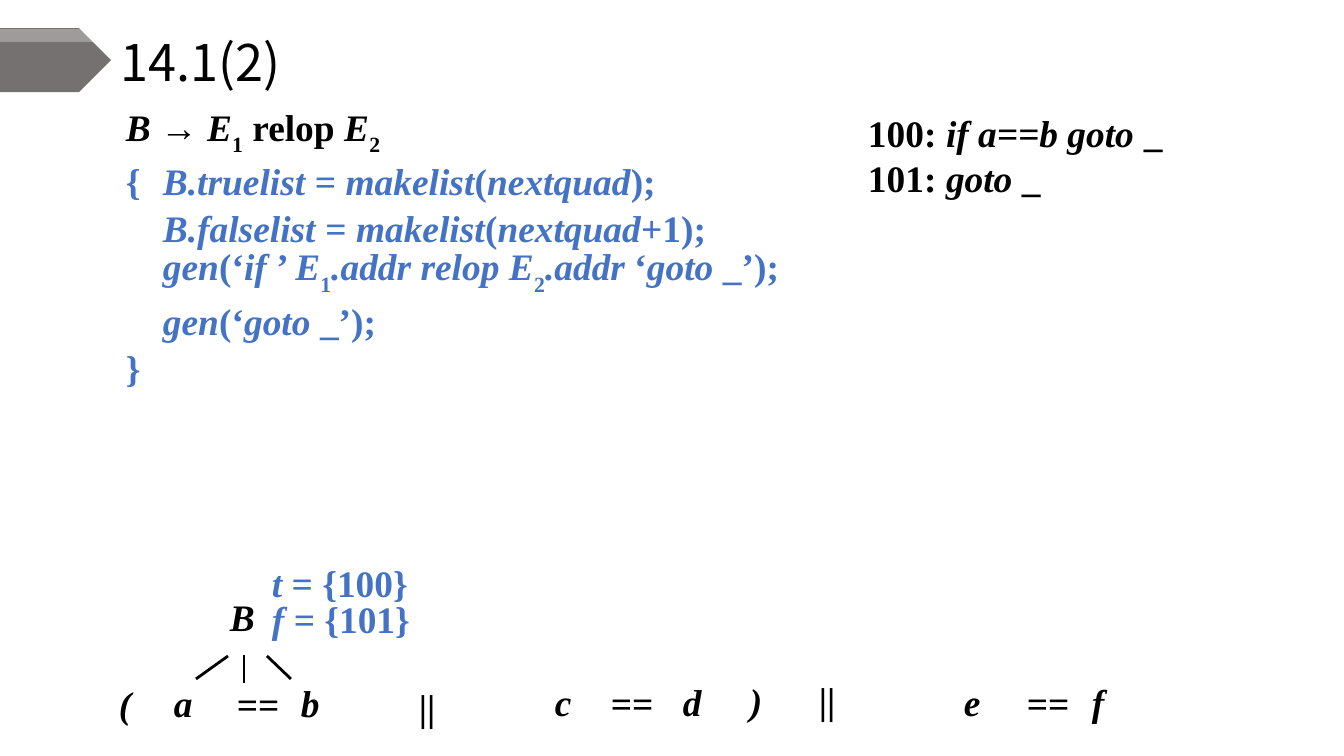
"""Builds the slide on backpatching a relational expression."""
from lxml import etree
from pptx import Presentation
from pptx.dml.color import RGBColor
from pptx.enum.shapes import MSO_CONNECTOR, MSO_SHAPE
from pptx.enum.text import MSO_ANCHOR, PP_ALIGN
from pptx.oxml.ns import qn
from pptx.util import Pt

PX = 914400 / 100.8
COLORS = {"black": "000000", "blue": "4472C4", "gray": "767171", "white": "FFFFFF"}
SERIF, SANS = "Times New Roman", "Noto Sans CJK SC"


def px(*lengths):
    return [round(length * PX) for length in lengths]


def add_text(box, lines, color="black", size=26.7, font=SERIF, bold=True,
             inset=1, spacing=None, align=PP_ALIGN.JUSTIFY):
    """Each line lists (text, style) runs: i is italic, s is subscript."""
    frame = slide.shapes.add_textbox(*px(*box)).text_frame
    frame.word_wrap = True
    frame.margin_left, frame.margin_top, frame.margin_right, frame.margin_bottom = px(
        10, inset, 10, inset)
    for number, line in enumerate(lines):
        paragraph = frame.paragraphs[0] if number == 0 else frame.add_paragraph()
        paragraph.alignment = align
        paragraph.line_spacing = spacing
        for text, style in line:
            run = paragraph.add_run()
            run.text = text
            run.font.size, run.font.name = Pt(size), font
            run.font.bold, run.font.italic = bold, "i" in style
            run.font.color.rgb = RGBColor.from_string(COLORS[color])
            props = run._r.get_or_add_rPr()
            etree.SubElement(props, qn("a:ea")).set("typeface", font)
            if "s" in style:
                props.set("baseline", "-30000")
    return frame


deck = Presentation()
deck.slide_width, deck.slide_height = px(1344, 756)
slide = deck.slides.add_slide(deck.slide_layouts[6])

add_text((262, 568, 294, 68),
         [[("t", "i"), (" = {100}", "")], [("f", "i"), (" = {101}", "")]],
         color="blue", spacing=0.8)
add_text((220, 593, 55, 39), [[("B", "i")]])

for x1, y1, x2, y2 in [(228, 656, 196, 679), (244, 655, 244, 683), (267, 656, 291, 679)]:
    branch = slide.shapes.add_connector(MSO_CONNECTOR.STRAIGHT, *px(x1, y1, x2, y2))
    branch.line.color.rgb = RGBColor.from_string(COLORS["black"])
    branch.line.width = Pt(2)
    etree.SubElement(branch._element.spPr, qn("a:effectLst"))

leaves = [("(", 109, 680), ("a", 164, 679), ("==", 227, 680), ("b", 291, 679),
          ("||", 409, 683), ("c", 545, 678), ("==", 601, 679), ("d", 673, 678),
          (")", 740, 677), ("||", 809, 676), ("e", 954, 678), ("==", 1017, 679),
          ("f", 1082, 678)]
for symbol, left, top in leaves:
    operator = len(symbol) == 2
    add_text((left, top, 70 if operator else 62, 32), [[(symbol, "" if operator else "i")]])

add_text((858, 105, 381, 101),
         [[("100: ", ""), ("if a==b goto ", "i"), ("_", "")],
          [("101: ", ""), ("goto", "i"), (" _", "")]],
         inset=5, align=PP_ALIGN.LEFT)

production = [("B ", "i"), ("→ ", ""), ("E", "i"), ("1", "s"), (" relop", ""),
              (" E", "i"), ("2", "s")]
actions = [
    [("{\t", ""), ("B.truelist", "i"), (" = ", ""), ("makelist", "i"), ("(", ""),
     ("nextquad", "i"), (");", "")],
    [("\t", ""), ("B.falselist", "i"), (" = ", ""), ("makelist", "i"), ("(", ""),
     ("nextquad", "i"), ("+1);", "")],
    [("\t", ""), ("gen", "i"), ("(‘", ""), ("if ", "i"), ("’ ", ""), ("E", "i"), ("1", "s"),
     (".addr relop E", "i"), ("2", "s"), (".addr", "i"), (" ‘", ""), ("goto", "i"),
     (" _’);", "")],
    [("\t", ""), ("gen", "i"), ("(‘", ""), ("goto", "i"), (" _’);", "")],
    [("}", "")],
]
rule = add_text((116, 105, 778, 294), [production, *actions], color="blue", inset=5,
                spacing=Pt(33.3))
hang = px(37)[0]
for paragraph in rule.paragraphs:
    layout = paragraph._p.get_or_add_pPr()
    layout.set("marL", str(hang))
    layout.set("indent", str(-hang))
for run in rule.paragraphs[0].runs:
    run.font.color.rgb = RGBColor.from_string(COLORS["black"])

title = add_text((111, 39, 1165, 52), [[("14.1(2)", "")]], size=36, font=SANS, bold=False,
                 inset=5, spacing=0.9, align=PP_ALIGN.LEFT)
title.vertical_anchor = MSO_ANCHOR.MIDDLE

for top, height, color, opacity in [(28, 64, "gray", 100), (29, 13, "white", 30)]:
    marker = slide.shapes.add_shape(MSO_SHAPE.PENTAGON, *px(0, top, 111, height))
    marker.shadow.inherit = False
    marker.fill.solid()
    marker.fill.fore_color.rgb = RGBColor.from_string(COLORS[color])
    marker.line.fill.background()
    if opacity < 100:
        tint = marker._element.spPr.find(qn("a:solidFill")).find(qn("a:srgbClr"))
        etree.SubElement(tint, qn("a:alpha")).set("val", str(opacity * 1000))

deck.save("out.pptx")
